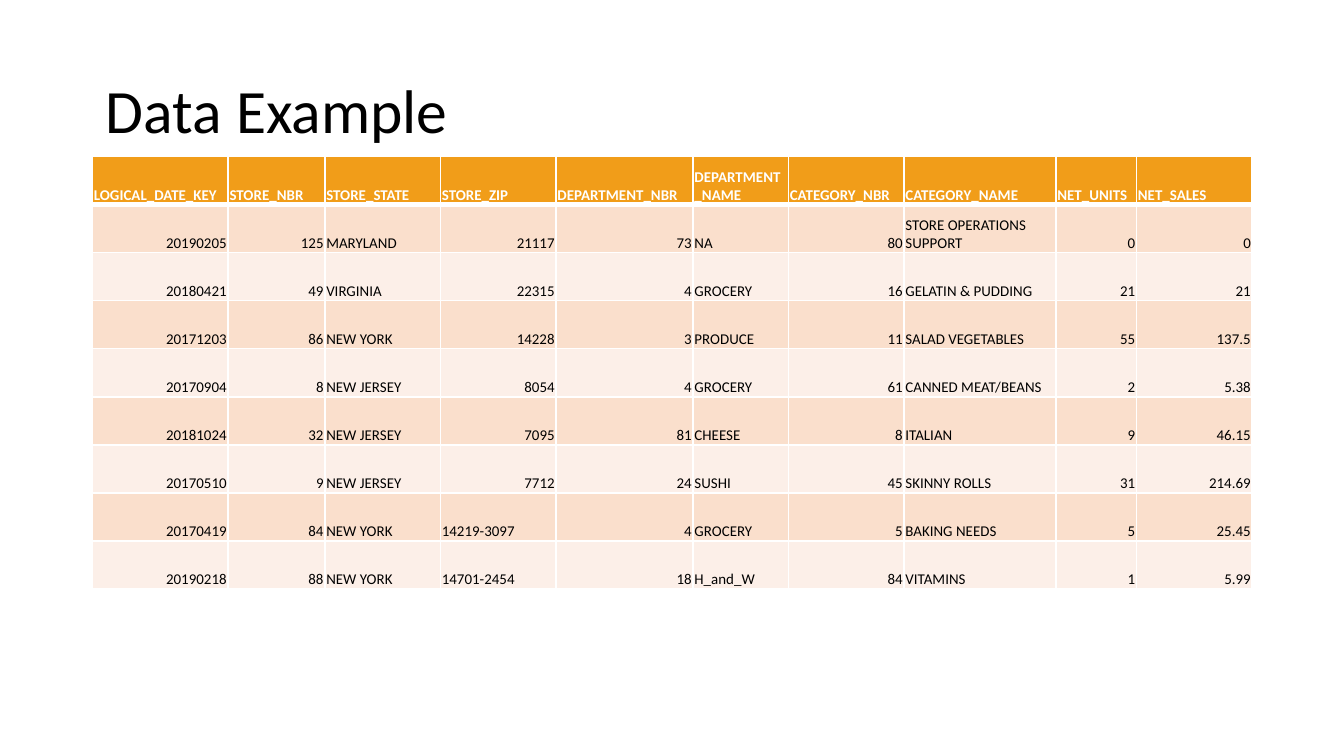
"""Build a slide with a title and a table of sample sales records."""
from dataclasses import dataclass
from typing import NamedTuple

from lxml.etree import SubElement
from pptx import Presentation
from pptx.dml.color import RGBColor
from pptx.enum.text import MSO_ANCHOR, MSO_AUTO_SIZE, PP_ALIGN
from pptx.oxml.ns import qn
from pptx.util import Inches, Pt

WIDTH = Inches(10)
HEIGHT = WIDTH * 9 // 16


@dataclass(frozen=True)
class Theme:
    """Colours, font and type sizes of the slide."""
    font: str = "Calibri"
    title_size: float = 33
    cell_size: float = 8
    text: str = "000000"
    white: str = "FFFFFF"
    header: str = "F19D19"
    bands: tuple[str, str] = ("FADFCC", "FCEFE8")
    rule: float = 1
    header_rule: float = 3


class Column(NamedTuple):
    """Heading and width in inches of one table column."""
    name: str
    width: float


class Box(NamedTuple):
    """Place and size as percentages of the slide."""
    left: float
    top: float
    width: float
    height: float

    def emu(self) -> tuple[int, int, int, int]:
        """Return left, top, width and height in EMU."""
        return (round(self.left * WIDTH / 100), round(self.top * HEIGHT / 100),
                round(self.width * WIDTH / 100), round(self.height * HEIGHT / 100))


THEME = Theme()
TITLE_BOX = Box(6.88, 5.32, 86.25, 19.33)
TABLE_BOX = Box(6.88, 20.7, 86.25, 57.2)
COLUMNS = [
    Column("LOGICAL_DATE_KEY", 1.01), Column("STORE_NBR", 0.72),
    Column("STORE_STATE", 0.86), Column("STORE_ZIP", 0.86),
    Column("DEPARTMENT_NBR", 1.02), Column("DEPARTMENT_NAME", 0.71),
    Column("CATEGORY_NBR", 0.86), Column("CATEGORY_NAME", 1.13),
    Column("NET_UNITS", 0.6), Column("NET_SALES", 0.86),
]
RECORDS = [
    ("20190205", "125", "MARYLAND", "21117", "73", "NA", "80", "STORE OPERATIONS SUPPORT", "0", "0"),
    ("20180421", "49", "VIRGINIA", "22315", "4", "GROCERY", "16", "GELATIN & PUDDING", "21", "21"),
    ("20171203", "86", "NEW YORK", "14228", "3", "PRODUCE", "11", "SALAD VEGETABLES", "55", "137.5"),
    ("20170904", "8", "NEW JERSEY", "8054", "4", "GROCERY", "61", "CANNED MEAT/BEANS", "2", "5.38"),
    ("20181024", "32", "NEW JERSEY", "7095", "81", "CHEESE", "8", "ITALIAN", "9", "46.15"),
    ("20170510", "9", "NEW JERSEY", "7712", "24", "SUSHI", "45", "SKINNY ROLLS", "31", "214.69"),
    ("20170419", "84", "NEW YORK", "14219-3097", "4", "GROCERY", "5", "BAKING NEEDS", "5", "25.45"),
    ("20190218", "88", "NEW YORK", "14701-2454", "18", "H_and_W", "84", "VITAMINS", "1", "5.99"),
]


def write(tf, text: str, *, size: float, color: str = THEME.text, bold: bool = False,
          align=PP_ALIGN.LEFT, spacing: float = 1.0) -> None:
    """Put one formatted run of text into a text frame."""
    p = tf.paragraphs[0]
    p.alignment, p.line_spacing = align, spacing
    r = p.add_run()
    r.text = text
    r.font.name, r.font.size, r.font.bold = THEME.font, Pt(size), bold
    r.font.color.rgb = RGBColor.from_string(color)


def set_borders(cell, *, top: float, bottom: float) -> None:
    """Draw the four white borders of a cell."""
    tc_pr = cell._tc.get_or_add_tcPr()
    sides = {"lnL": THEME.rule, "lnR": THEME.rule, "lnT": top, "lnB": bottom}
    for side, width in sides.items():
        ln = SubElement(tc_pr, qn(f"a:{side}"), w=str(Pt(width)))
        fill = SubElement(ln, qn("a:solidFill"))
        SubElement(fill, qn("a:srgbClr"), val=THEME.white)


def fill_cell(cell, text: str, row: int) -> None:
    """Format one cell by its row and the kind of its text."""
    is_header = row == 0
    is_number = text.replace(".", "").isdigit()
    cell.margin_left = cell.margin_right = cell.margin_top = Inches(0.01)
    cell.margin_bottom = 0
    cell.vertical_anchor = MSO_ANCHOR.BOTTOM
    set_borders(cell, top=THEME.header_rule if row == 1 else THEME.rule,
                bottom=THEME.header_rule if is_header else THEME.rule)
    cell.fill.solid()
    cell.fill.fore_color.rgb = RGBColor.from_string(
        THEME.header if is_header else THEME.bands[(row - 1) % 2])
    write(cell.text_frame, text, size=THEME.cell_size, bold=is_header,
          color=THEME.white if is_header else THEME.text,
          align=PP_ALIGN.RIGHT if is_number else PP_ALIGN.LEFT)


def add_title(s, text: str) -> None:
    """Place and format the title placeholder."""
    sp = s.shapes.title
    sp.left, sp.top, sp.width, sp.height = TITLE_BOX.emu()
    tf = sp.text_frame
    tf.word_wrap, tf.auto_size = True, MSO_AUTO_SIZE.NONE
    tf.vertical_anchor = MSO_ANCHOR.MIDDLE
    write(tf, text, size=THEME.title_size, spacing=0.9)


def add_records(s) -> None:
    """Add the table with its heading row and records."""
    rows = [tuple(c.name for c in COLUMNS), *RECORDS]
    table = s.shapes.add_table(len(rows), len(COLUMNS), *TABLE_BOX.emu()).table
    for col, column in zip(table.columns, COLUMNS):
        col.width = Inches(column.width)
    for i, row in enumerate(rows):
        for j, text in enumerate(row):
            fill_cell(table.cell(i, j), text, i)


def main() -> None:
    """Create and save the presentation."""
    prs = Presentation()
    prs.slide_width, prs.slide_height = WIDTH, HEIGHT
    s = prs.slides.add_slide(prs.slide_layouts[5])
    add_title(s, "Data Example")
    add_records(s)
    prs.save("out.pptx")


if __name__ == "__main__":
    main()
